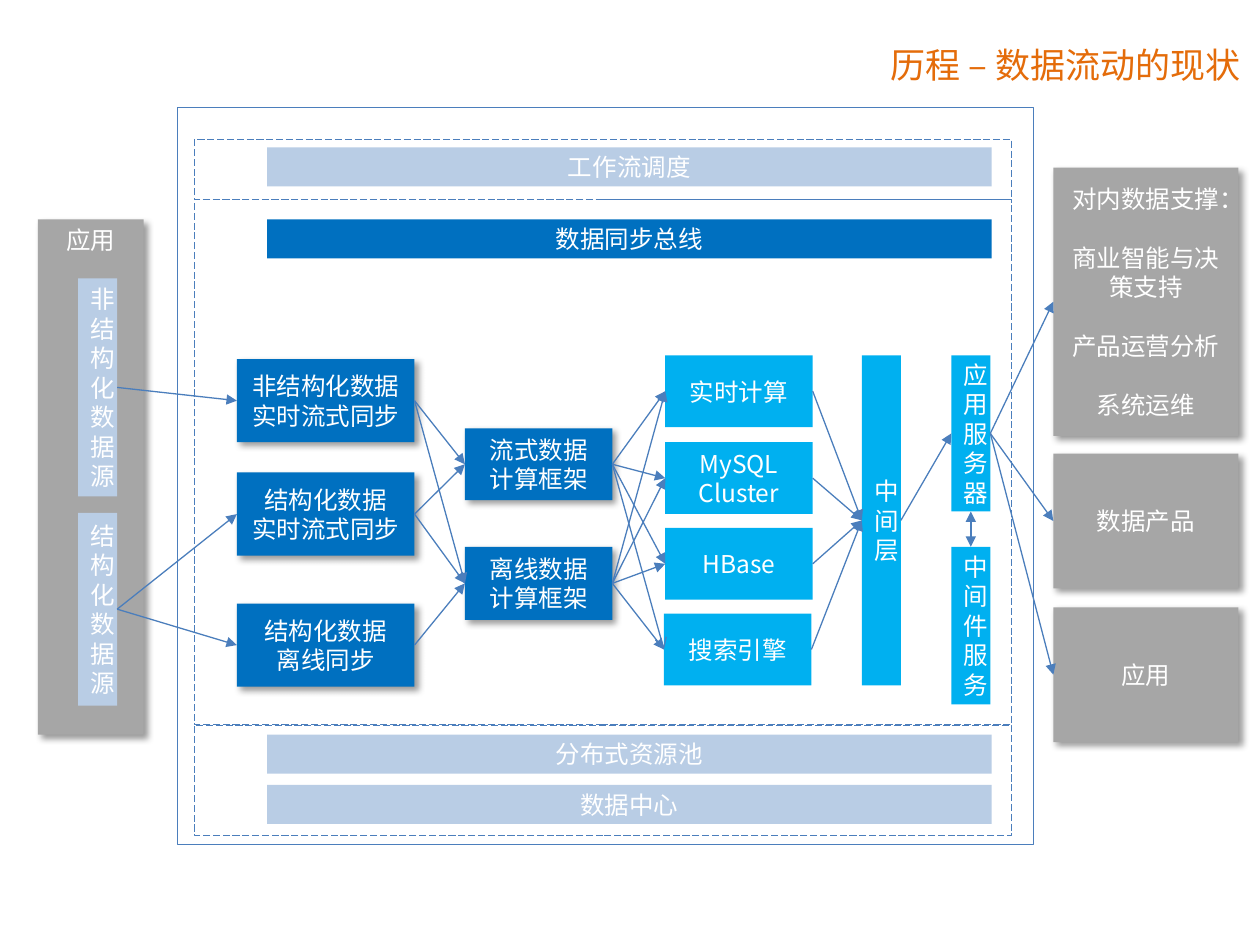
import lxml.etree
import pptx
import pptx.dml.color
import pptx.enum.dml
import pptx.enum.shapes
import pptx.enum.text
import pptx.oxml.ns
import pptx.util

Inches = pptx.util.Inches
Pt = pptx.util.Pt
RGBColor = pptx.dml.color.RGBColor
qn = pptx.oxml.ns.qn

WHITE = RGBColor(0xFF, 0xFF, 0xFF)
GRAY = RGBColor(0xA6, 0xA6, 0xA6)
BLUE = RGBColor(0x00, 0x70, 0xC0)
CYAN = RGBColor(0x00, 0xB0, 0xF0)
PALE = RGBColor(0xB9, 0xCD, 0xE5)
STROKE = RGBColor(0x4B, 0x7E, 0xBC)
ORANGE = RGBColor(0xE4, 0x6C, 0x0A)
FONT = "Noto Sans CJK SC"
LEADING = Pt(16.8)


def style_text(paragraph, size, color):
    paragraph.font.size = Pt(size)
    paragraph.font.name = FONT
    paragraph.font.color.rgb = color
    for run in paragraph.runs:
        east_asian = lxml.etree.SubElement(run._r.get_or_add_rPr(), qn("a:ea"))
        east_asian.set("typeface", FONT)


def connect(start, start_site, end, end_site, width, arrows):
    link = slide.shapes.add_connector(pptx.enum.shapes.MSO_CONNECTOR.STRAIGHT, 0, 0, 0, 0)
    link.begin_connect(start, start_site)
    link.end_connect(end, end_site)
    link.line.color.rgb = STROKE
    link.line.width = Pt(width)
    outline = link.line._get_or_add_ln()
    for tag, arrow in arrows.items():
        lxml.etree.SubElement(outline, qn(tag)).set("type", arrow)
    lxml.etree.SubElement(link._element.spPr, qn("a:effectLst"))


deck = pptx.Presentation()
deck.slide_width = Inches(10)
deck.slide_height = Inches(7.5)
slide = deck.slides.add_slide(deck.slide_layouts[6])

for left, top, width, height, dashed in [
    (1.41, 0.85, 6.79, 5.85, False),
    (1.54, 1.11, 6.49, 0.47, True),
    (1.54, 1.58, 6.49, 4.17, True),
    (1.54, 5.76, 6.49, 0.87, True),
]:
    frame = slide.shapes.add_shape(
        pptx.enum.shapes.MSO_SHAPE.RECTANGLE,
        Inches(left), Inches(top), Inches(width), Inches(height))
    frame.shadow.inherit = False
    frame.fill.background()
    frame.line.color.rgb = STROKE
    frame.line.width = Pt(0.5)
    if dashed:
        frame.line.dash_style = pptx.enum.dml.MSO_LINE.LONG_DASH

support = "对内数据支撑：\n商业智能与决策支持\n产品运营分析\n系统运维"
boxes = [
    ("source app", "应用", 0.3, 1.74, 0.84, 4.09, GRAY, True),
    ("raw source", "非结构化数据源", 0.62, 2.21, 0.31, 1.73, PALE, False),
    ("table source", "结构化数据源", 0.62, 4.07, 0.31, 1.53, PALE, False),
    ("scheduling", "工作流调度", 2.12, 1.17, 5.75, 0.31, PALE, False),
    ("bus", "数据同步总线", 2.12, 1.74, 5.75, 0.31, BLUE, False),
    ("pool", "分布式资源池", 2.12, 5.83, 5.75, 0.31, PALE, False),
    ("data center", "数据中心", 2.12, 6.23, 5.75, 0.31, PALE, False),
    ("raw sync", "非结构化数据\n实时流式同步", 1.88, 2.85, 1.41, 0.66, BLUE, True),
    ("live sync", "结构化数据\n实时流式同步", 1.88, 3.75, 1.41, 0.66, BLUE, True),
    ("batch sync", "结构化数据\n离线同步", 1.88, 4.79, 1.41, 0.66, BLUE, True),
    ("streaming", "流式数据\n计算框架", 3.69, 3.4, 1.17, 0.57, BLUE, True),
    ("offline", "离线数据计算框架", 3.69, 4.34, 1.17, 0.58, BLUE, True),
    ("realtime", "实时计算", 5.28, 2.82, 1.17, 0.57, CYAN, False),
    ("mysql", "MySQL Cluster", 5.28, 3.51, 1.17, 0.57, CYAN, False),
    ("hbase", "HBase", 5.28, 4.19, 1.17, 0.57, CYAN, False),
    ("search", "搜索引擎", 5.27, 4.87, 1.17, 0.57, CYAN, False),
    ("middle layer", "中间层", 6.84, 2.82, 0.31, 2.62, CYAN, False),
    ("app server", "应用服务器", 7.55, 2.82, 0.31, 1.24, CYAN, False),
    ("middleware", "中间件服务", 7.55, 4.34, 0.31, 1.25, CYAN, False),
    ("support", support, 8.36, 1.33, 1.47, 2.13, GRAY, True),
    ("product", "数据产品", 8.36, 3.6, 1.47, 1.07, GRAY, True),
    ("target app", "应用", 8.36, 4.82, 1.47, 1.07, GRAY, True),
]
nodes = {}
for key, label, left, top, width, height, color, raised in boxes:
    node = slide.shapes.add_shape(
        pptx.enum.shapes.MSO_SHAPE.RECTANGLE,
        Inches(left), Inches(top), Inches(width), Inches(height))
    nodes[key] = node
    node.fill.solid()
    node.fill.fore_color.rgb = color
    node.line.fill.background()
    node.shadow.inherit = False
    if raised:
        effects = node._element.spPr.find(qn("a:effectLst"))
        shadow = lxml.etree.SubElement(
            effects, qn("a:outerShdw"), blurRad=str(Pt(4)), dist=str(Pt(3)),
            dir="2700000", algn="tl", rotWithShape="0")
        black = lxml.etree.SubElement(shadow, qn("a:srgbClr"), val="000000")
        lxml.etree.SubElement(black, qn("a:alpha"), val="40000")
    content = node.text_frame
    content.word_wrap = True
    content.vertical_anchor = (
        pptx.enum.text.MSO_ANCHOR.TOP if key == "source app"
        else pptx.enum.text.MSO_ANCHOR.MIDDLE)
    content.text = label
    for index, paragraph in enumerate(content.paragraphs):
        paragraph.alignment = pptx.enum.text.PP_ALIGN.CENTER
        paragraph.line_spacing = LEADING
        if key == "support" and index:
            paragraph.space_before = LEADING
        style_text(paragraph, 14, WHITE)

flows = {
    "raw source": ["raw sync"],
    "table source": ["live sync", "batch sync"],
    "raw sync": ["streaming", "offline"],
    "live sync": ["streaming", "offline"],
    "batch sync": ["offline"],
    "streaming": ["realtime", "mysql", "hbase", "search"],
    "offline": ["realtime", "mysql", "hbase", "search"],
    "realtime": ["middle layer"],
    "mysql": ["middle layer"],
    "hbase": ["middle layer"],
    "search": ["middle layer"],
    "middle layer": ["app server"],
    "app server": ["support", "product", "target app"],
}
for start, ends in flows.items():
    for end in ends:
        arrow = "arrow" if (start, end) == ("streaming", "search") else "triangle"
        connect(nodes[start], 3, nodes[end], 1, 0.75, {"a:tailEnd": arrow})
connect(nodes["app server"], 2, nodes["middleware"], 0, 1,
        {"a:headEnd": "triangle", "a:tailEnd": "triangle"})

title = slide.shapes.add_textbox(Inches(6.97), Inches(0.29), Inches(3.32), Inches(0.44))
title.text_frame.word_wrap = True
title.text_frame.vertical_anchor = pptx.enum.text.MSO_ANCHOR.MIDDLE
title.text_frame.text = "历程 – 数据流动的现状"
style_text(title.text_frame.paragraphs[0], 20, ORANGE)

deck.save("out.pptx")
